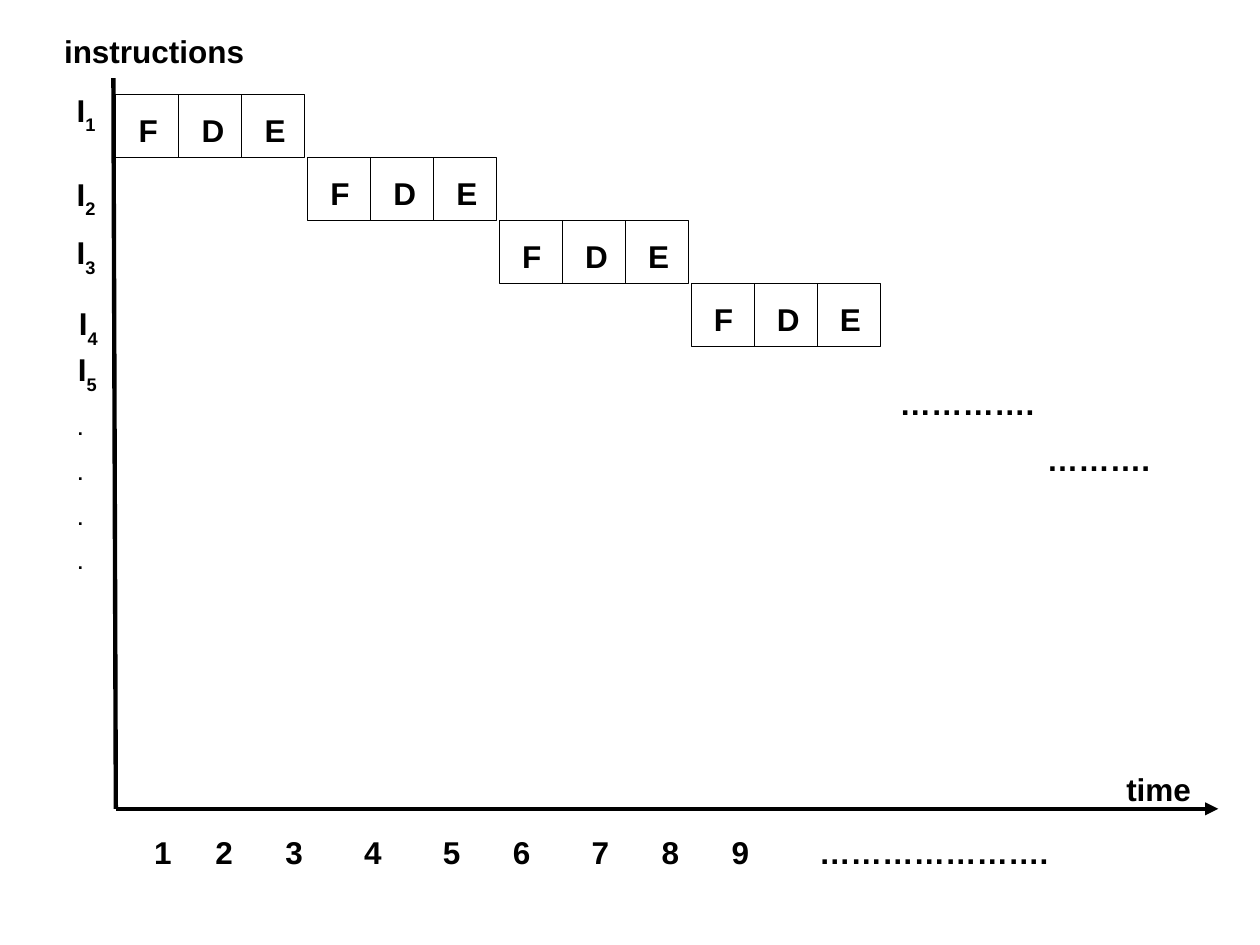
from dataclasses import dataclass
from typing import Any

from lxml.etree import SubElement
from pptx import Presentation
from pptx.dml.color import RGBColor
from pptx.enum.shapes import MSO_CONNECTOR, MSO_SHAPE
from pptx.enum.text import MSO_ANCHOR, PP_ALIGN
from pptx.oxml.ns import qn
from pptx.util import Pt


@dataclass(frozen=True)
class Theme:
    ink: RGBColor = RGBColor(0, 0, 0)
    face: str = "Arial"
    size: float = 18
    thin: float = 0.75
    thick: float = 2.5


@dataclass(frozen=True)
class Label:
    text: str
    left: float
    top: float
    width: float
    height: float = 29
    sub: str = ""
    dots: int = 0
    stops: tuple[float, ...] = ()


@dataclass(frozen=True)
class Axis:
    start: tuple[float, float]
    end: tuple[float, float]
    arrow: bool = False


THEME = Theme()
CELL = 36
STEP = 109.6
ORIGIN = (66.2, 54)
STAGES = "FDE"
TICKS = [str(n) for n in range(1, 10)] + ["…………………."]
STOPS = (35, 75, 120, 165, 205, 250, 290, 330, 380)

LABELS = [
    Label("instructions", 29.5, 14.8, 120),
    Label("I", 36.7, 48.2, 28, 33.1, sub="1"),
    Label("I", 36.7, 96.2, 28, 33.1, sub="2"),
    Label("I", 36.7, 129.6, 28, 33.1, sub="3"),
    Label("I", 38, 170, 28, 33.1, sub="4"),
    Label("I", 37.5, 196.6, 28, 134.6, sub="5", dots=4),
    Label("………….", 507, 216, 96),
    Label("……….", 591.1, 247.7, 78),
    Label("\t".join(TICKS), 81, 472.3, 565, stops=STOPS),
    Label("time", 636.5, 436.3, 60),
]
AXES = [
    Axis((66.2, 462.2), (64.8, 44.6)),
    Axis((66.2, 462.2), (696.2, 462.2), arrow=True),
]


def style(item: Any, values: dict[str, Any]) -> None:
    for name, value in values.items():
        setattr(item, name, value)


def write(para: Any, text: str, low: bool = False) -> None:
    run = para.add_run()
    run.text = text
    style(run.font, {"name": THEME.face, "size": Pt(THEME.size), "bold": True})
    run.font.color.rgb = THEME.ink
    if low:
        run._r.get_or_add_rPr().set("baseline", "-30000")


def draw_label(shapes: Any, label: Label) -> None:
    box = shapes.add_textbox(*map(Pt, (label.left, label.top, label.width, label.height)))
    frame = box.text_frame
    style(frame, {
        "word_wrap": True,
        "vertical_anchor": MSO_ANCHOR.MIDDLE if label.sub else MSO_ANCHOR.TOP,
        "margin_right": 0,
    })
    para = frame.paragraphs[0]
    write(para, label.text)
    if label.sub:
        write(para, label.sub, low=True)
    for _ in range(label.dots):
        write(frame.add_paragraph(), ".", low=True)
    if label.stops:
        tabs = SubElement(para._p.get_or_add_pPr(), qn("a:tabLst"))
        for stop in label.stops:
            SubElement(tabs, qn("a:tab"), pos=str(Pt(stop)), algn="l")


def draw_cell(shapes: Any, stage: str, left: float, top: float) -> None:
    cell = shapes.add_shape(MSO_SHAPE.RECTANGLE, *map(Pt, (left, top, CELL, CELL)))
    cell.shadow.inherit = False
    cell.fill.background()
    cell.line.color.rgb = THEME.ink
    cell.line.width = Pt(THEME.thin)
    frame = cell.text_frame
    style(frame, {
        "margin_left": Pt(13), "margin_top": Pt(9.6),
        "margin_right": 0, "margin_bottom": 0,
        "vertical_anchor": MSO_ANCHOR.TOP, "word_wrap": True,
    })
    para = frame.paragraphs[0]
    para.alignment = PP_ALIGN.LEFT
    write(para, stage)


def draw_axis(shapes: Any, axis: Axis) -> None:
    line = shapes.add_connector(MSO_CONNECTOR.STRAIGHT, *map(Pt, axis.start + axis.end))
    line.line.color.rgb = THEME.ink
    line.line.width = Pt(THEME.thick)
    if axis.arrow:
        SubElement(line.line._get_or_add_ln(), qn("a:tailEnd"), type="triangle")
    SubElement(line._element.spPr, qn("a:effectLst"))


def main() -> None:
    deck = Presentation()
    style(deck, {"slide_width": Pt(720), "slide_height": Pt(540)})
    shapes = deck.slides.add_slide(deck.slide_layouts[6]).shapes
    for axis in AXES:
        draw_axis(shapes, axis)
    for row in range(4):
        for col, stage in enumerate(STAGES):
            draw_cell(shapes, stage, ORIGIN[0] + row * STEP + col * CELL, ORIGIN[1] + row * CELL)
    for label in LABELS:
        draw_label(shapes, label)
    deck.save("out.pptx")


main()
